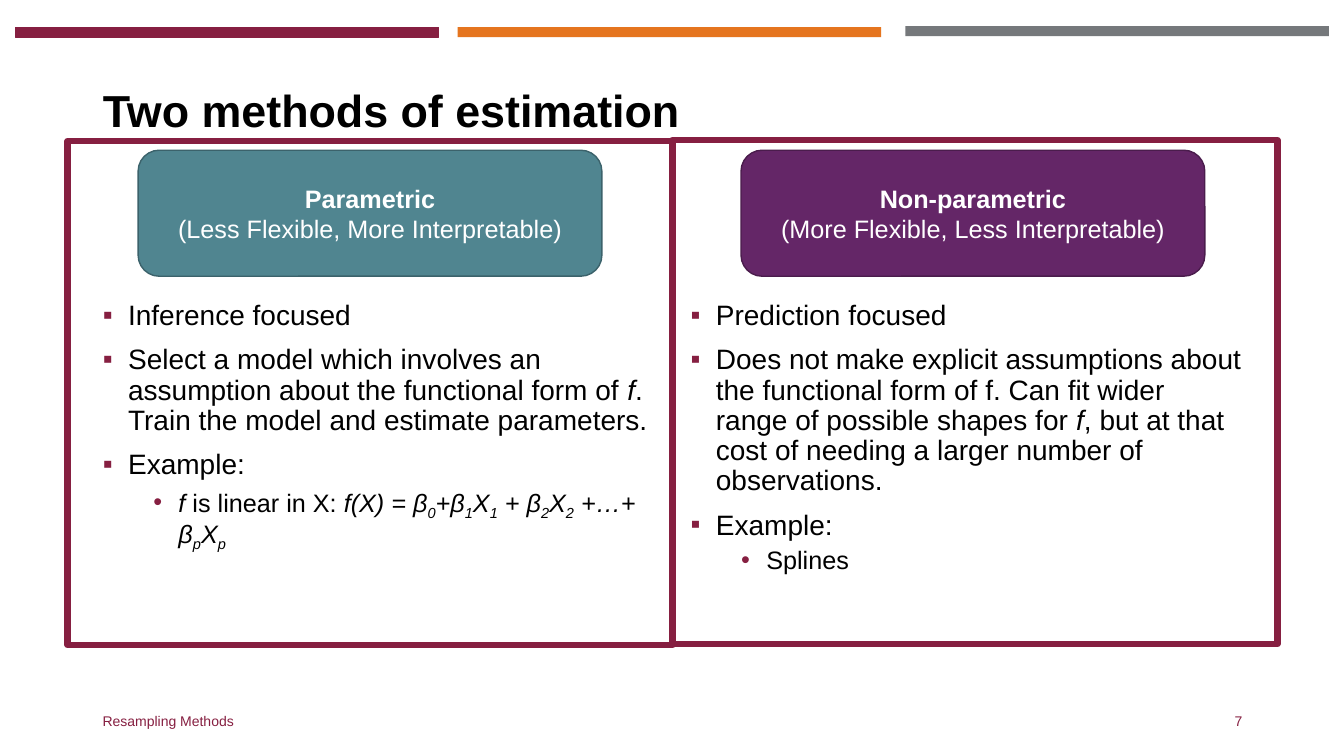
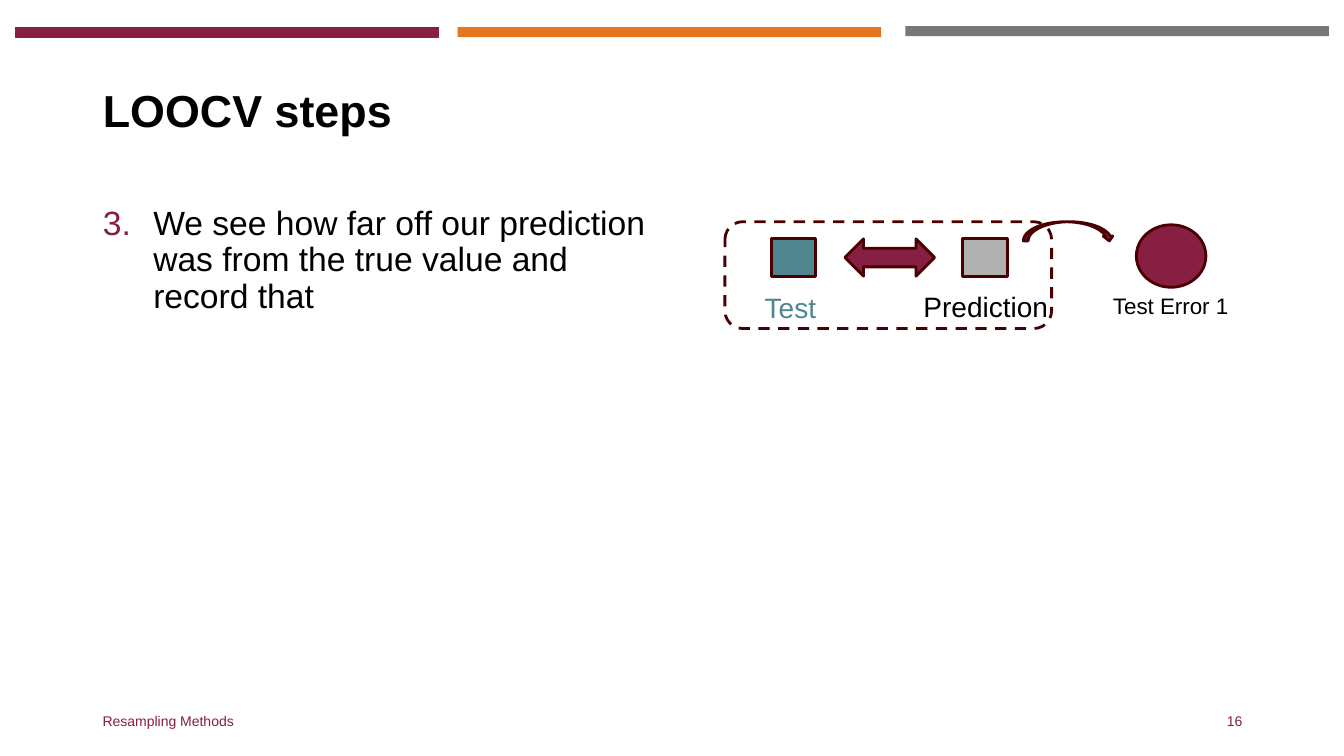
"""Build two statistics slides on estimation methods and LOOCV."""
from dataclasses import dataclass

from lxml.etree import SubElement
from pptx import Presentation
from pptx.dml.color import RGBColor
from pptx.enum.dml import MSO_LINE
from pptx.enum.shapes import MSO_SHAPE
from pptx.enum.text import MSO_ANCHOR, MSO_AUTO_SIZE, PP_ALIGN
from pptx.oxml.ns import qn
from pptx.util import Inches, Pt


@dataclass(frozen=True)
class Theme:
    """Colours, font and type sizes."""
    font: str = "Arial"
    maroon: str = "861F41"
    orange: str = "E5751F"
    grey: str = "75787B"
    teal: str = "508590"
    teal_edge: str = "3B626B"
    purple: str = "642667"
    purple_edge: str = "4A1C4C"
    silver: str = "B0B0B0"
    dark_edge: str = "4A0000"
    black: str = "000000"
    white: str = "FFFFFF"
    title: int = 32
    step: int = 24
    body: int = 20
    detail: int = 18
    caption: int = 16
    footer: int = 10


@dataclass(frozen=True)
class Bullet:
    """Marker, indents and spacing of a list level."""
    tag: str
    marker: dict
    size: int
    left: float
    hanging: float
    before: int
    level: int = 0


THEME = Theme()
POINT = Bullet("a:buChar", {"char": "▪"}, THEME.body, 0.25, 0.25, 10)
SUBPOINT = Bullet("a:buChar", {"char": "•"}, THEME.detail, 0.75, 0.25, 5, 1)
THIRD_STEP = Bullet("a:buAutoNum", {"type": "arabicPeriod", "startAt": "3"},
                    THEME.step, 0.5, 0.5, 10)
PLAIN, BOLD, ITALIC = {}, {"bold": True}, {"italic": True}
MARGIN, CONTENT_WIDTH = 0.92, 11.5
COLUMN_WIDTH, RIGHT_COLUMN = 5.67, 6.75


def box(left, top, width, height):
    """Return a position and size in inches."""
    return [Inches(value) for value in (left, top, width, height)]


def rgb(colour):
    """Return the colour object for a hex code."""
    return RGBColor.from_string(colour)


def add_run(paragraph, text, size, colour, style=PLAIN, subscript=False):
    """Append a formatted run."""
    run = paragraph.add_run()
    run.text = text
    for name, value in {"name": THEME.font, "size": Pt(size), **style}.items():
        setattr(run.font, name, value)
    run.font.color.rgb = rgb(colour)
    if subscript:
        run._r.get_or_add_rPr().set("baseline", "-25000")


def write_lines(frame, lines, size, colour, align=PP_ALIGN.LEFT, anchor=MSO_ANCHOR.TOP):
    """Fill a text frame with (text, style) lines."""
    settings = {"word_wrap": True, "auto_size": MSO_AUTO_SIZE.NONE, "vertical_anchor": anchor}
    for name, value in settings.items():
        setattr(frame, name, value)
    for number, (text, style) in enumerate(lines):
        paragraph = frame.add_paragraph() if number else frame.paragraphs[0]
        paragraph.alignment = align
        add_run(paragraph, text, size, colour, style)


def format_bullet(paragraph, bullet, first):
    """Apply list spacing, indents and marker to a paragraph."""
    settings = {"level": bullet.level, "line_spacing": 0.9,
                "space_before": Pt(0 if first else bullet.before)}
    for name, value in settings.items():
        setattr(paragraph, name, value)
    properties = paragraph._p.get_or_add_pPr()
    properties.set("marL", str(Inches(bullet.left)))
    properties.set("indent", str(-Inches(bullet.hanging)))
    SubElement(SubElement(properties, qn("a:buClr")), qn("a:srgbClr"), val=THEME.maroon)
    SubElement(properties, qn("a:buFont"), typeface=THEME.font)
    SubElement(properties, qn(bullet.tag), **bullet.marker)


def place(placeholder, bounds):
    """Move and size a placeholder."""
    for name, value in zip(("left", "top", "width", "height"), bounds):
        setattr(placeholder, name, value)


def fill_list(placeholder, bounds, items):
    """Fill a body placeholder with (bullet, runs) items."""
    place(placeholder, bounds)
    frame = placeholder.text_frame
    frame.auto_size = MSO_AUTO_SIZE.NONE
    for number, (bullet, runs) in enumerate(items):
        paragraph = frame.add_paragraph() if number else frame.paragraphs[0]
        format_bullet(paragraph, bullet, first=not number)
        for run in runs:
            add_run(paragraph, run[0], bullet.size, THEME.black, *run[1:])


def add_shape(shapes, kind, bounds, fill=None, edge=None, weight=2.0):
    """Add a flat preset shape."""
    shape = shapes.add_shape(kind, *bounds)
    shape.shadow.inherit = False
    if fill:
        shape.fill.solid()
        shape.fill.fore_color.rgb = rgb(fill)
    else:
        shape.fill.background()
    if edge:
        shape.line.color.rgb = rgb(edge)
        shape.line.width = Pt(weight)
    else:
        shape.line.fill.background()
    return shape


def add_label(shapes, bounds, text, size, colour, **layout):
    """Add a one-line text box."""
    write_lines(shapes.add_textbox(*bounds).text_frame, [(text, PLAIN)], size, colour, **layout)


def add_bands(deck, slide):
    """Put the three top bands on the slide master."""
    bands = [(0.15, 0.27, THEME.maroon, THEME.maroon),
             (8.98, 0.26, THEME.grey, None),
             (4.54, 0.27, THEME.orange, None)]
    for left, top, fill, edge in bands:
        band = add_shape(slide.shapes, MSO_SHAPE.RECTANGLE, box(left, top, 4.2, 0.1),
                         fill, edge, 0.75)
        deck.slide_master.shapes.element.append(band.element)


def start_slide(deck, layout, title, number):
    """Add a slide with its title and footer."""
    slide = deck.slides.add_slide(deck.slide_layouts.get_by_name(layout))
    heading = slide.shapes.title
    place(heading, box(MARGIN, 0.4, CONTENT_WIDTH, 1.45))
    write_lines(heading.text_frame, [(title, BOLD)], THEME.title, THEME.black,
                anchor=MSO_ANCHOR.MIDDLE)
    heading.text_frame.paragraphs[0].line_spacing = 0.9
    footers = [(MARGIN, 4.5, "Resampling Methods", PP_ALIGN.LEFT),
               (9.42, 3, str(number), PP_ALIGN.RIGHT)]
    for left, width, text, align in footers:
        add_label(slide.shapes, box(left, 6.95, width, 0.4), text, THEME.footer,
                  THEME.maroon, align=align, anchor=MSO_ANCHOR.MIDDLE)
    return slide


def add_method(slide, left, name, traits, fill, edge):
    """Add the rounded heading of an estimation method."""
    card = add_shape(slide.shapes, MSO_SHAPE.ROUNDED_RECTANGLE,
                     box(left, 1.49, 4.6, 1.25), fill, edge, 1)
    write_lines(card.text_frame, [(name, BOLD), (traits, PLAIN)], THEME.detail,
                THEME.white, PP_ALIGN.CENTER, MSO_ANCHOR.MIDDLE)


def linear_formula():
    """Return the runs of the linear model."""
    bases = ["f(X) = β", "+β", "X", " + β", "X", " +…+ β", "X"]
    runs = [("f ", ITALIC), ("is linear in X: ",)]
    for base, index in zip(bases, "01122pp"):
        runs += [(base, ITALIC), (index, ITALIC, True)]
    return runs


def build_methods(slide):
    """Compare parametric and non-parametric estimation."""
    parametric = [
        (POINT, [("Inference focused",)]),
        (POINT, [("Select a model which involves an assumption about the functional form of ",),
                 ("f", ITALIC), (". Train the model and estimate parameters.",)]),
        (POINT, [("Example:",)]),
        (SUBPOINT, linear_formula())]
    non_parametric = [
        (POINT, [("Prediction focused",)]),
        (POINT, [("Does not make explicit assumptions about the functional form of f. "
                  "Can fit wider range of possible shapes for ",), ("f", ITALIC),
                 (", but at that cost of needing a larger number of observations.",)]),
        (POINT, [("Example:",)]),
        (SUBPOINT, [("Splines",)])]
    columns = [(1, MARGIN, parametric), (2, RIGHT_COLUMN, non_parametric)]
    for index, left, items in columns:
        fill_list(slide.placeholders[index], box(left, 2.94, COLUMN_WIDTH, 3.82), items)
    add_method(slide, 1.37, "Parametric", "(Less Flexible, More Interpretable)",
               THEME.teal, THEME.teal_edge)
    add_method(slide, 7.35, "Non-parametric", "(More Flexible, Less Interpretable)",
               THEME.purple, THEME.purple_edge)
    for left, top in ((0.67, 1.4), (6.67, 1.39)):
        add_shape(slide.shapes, MSO_SHAPE.RECTANGLE, box(left, top, 6, 5),
                  edge=THEME.maroon, weight=4.5)


def build_loocv(slide):
    """Show the third LOOCV step with its diagram."""
    step = "We see how far off our prediction was from the true value and record that"
    fill_list(slide.placeholders[1], box(MARGIN, 2, COLUMN_WIDTH, 4.76),
              [(THIRD_STEP, [(step,)])])
    shapes = slide.shapes
    edge = THEME.dark_edge
    add_shape(shapes, MSO_SHAPE.RECTANGLE, box(7.65, 2.37, 0.44, 0.37), THEME.teal, edge)
    prediction = shapes.add_group_shape().shapes
    add_shape(prediction, MSO_SHAPE.RECTANGLE, box(9.55, 2.37, 0.44, 0.37),
              THEME.silver, edge)
    add_label(prediction, box(9.06, 2.82, 1.55, 0.44), "Prediction", THEME.body, THEME.black)
    add_shape(shapes, MSO_SHAPE.LEFT_RIGHT_ARROW, box(8.38, 2.37, 0.89, 0.37),
              THEME.maroon, edge)
    comparison = add_shape(shapes, MSO_SHAPE.ROUNDED_RECTANGLE,
                           box(7.19, 2.2, 3.24, 1.06), edge=edge)
    comparison.line.dash_style = MSO_LINE.DASH
    add_shape(shapes, MSO_SHAPE.CURVED_DOWN_ARROW, box(10.15, 2.2, 0.9, 0.19),
              THEME.maroon, edge)
    error = shapes.add_group_shape().shapes
    add_shape(error, MSO_SHAPE.OVAL, box(11.27, 2.23, 0.69, 0.62), THEME.maroon, edge)
    add_label(error, box(10.94, 2.85, 1.4, 0.64), "Test Error 1", THEME.caption, THEME.black)
    add_label(shapes, box(7.19, 2.83, 1.3, 0.44), "Test", THEME.body, THEME.teal,
              align=PP_ALIGN.CENTER)


def main():
    """Build and save the deck."""
    deck = Presentation()
    deck.slide_width, deck.slide_height = Inches(13.33), Inches(7.5)
    methods = start_slide(deck, "Two Content", "Two methods of estimation", 7)
    add_bands(deck, methods)
    build_methods(methods)
    build_loocv(start_slide(deck, "Title and Content", "LOOCV steps", 16))
    deck.save("out.pptx")


if __name__ == "__main__":
    main()
